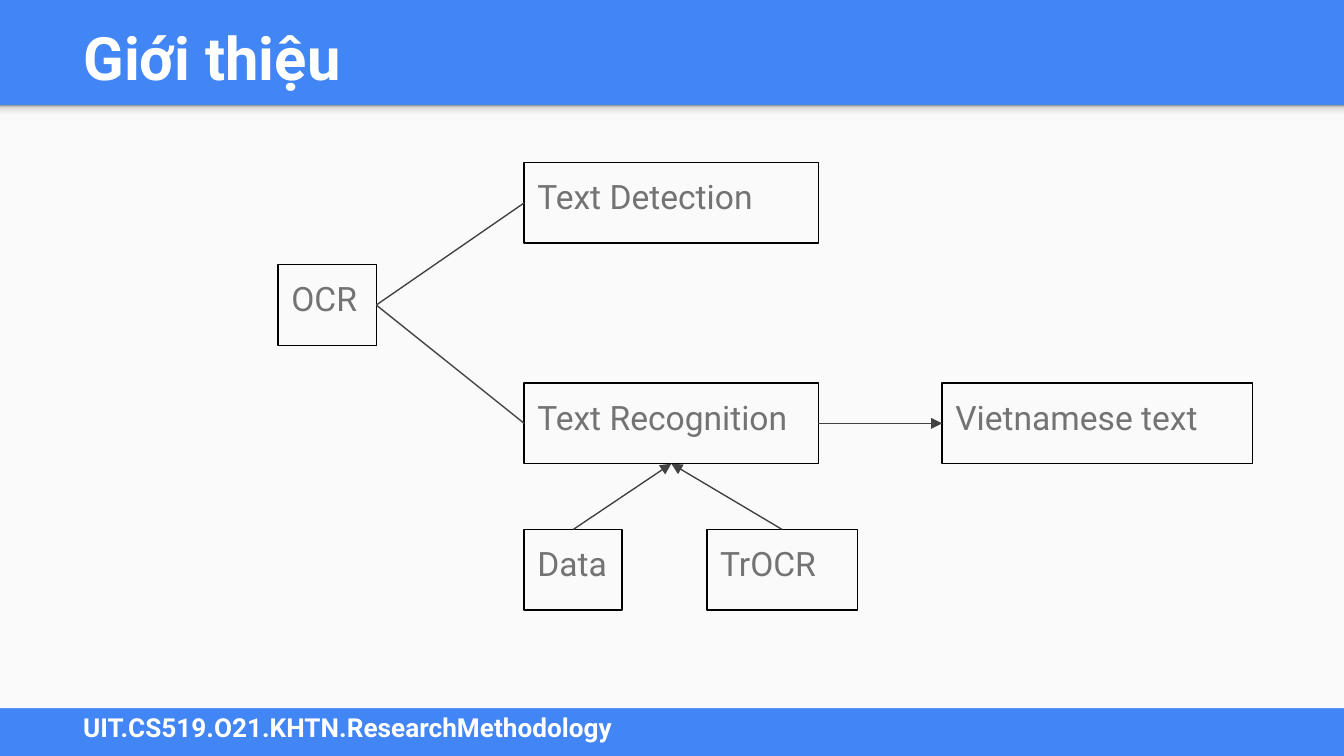
"""Build the introduction slide: a diagram of the OCR tasks between two blue bands."""
from pptx import Presentation
from pptx.dml.color import RGBColor
from pptx.enum.shapes import MSO_CONNECTOR, MSO_SHAPE
from pptx.enum.text import MSO_ANCHOR, MSO_AUTO_SIZE, PP_ALIGN
from pptx.oxml.ns import qn
from pptx.util import Inches, Pt
from lxml.etree import SubElement


def paint(fill, colour):
    fill.solid()
    fill.fore_color.rgb = RGBColor.from_string(colour)


def write(holder, text, size, colour, bold=False, anchor=MSO_ANCHOR.MIDDLE):
    frame = holder.text_frame
    frame.text = text
    margins = {f"margin_{side}": Inches(0.1) for side in ("left", "right", "top", "bottom")}
    frame_format = {"word_wrap": True, "auto_size": MSO_AUTO_SIZE.NONE,
                    "vertical_anchor": anchor, **margins}
    for attribute, value in frame_format.items():
        setattr(frame, attribute, value)
    paragraph = frame.paragraphs[0]
    paragraph.alignment = PP_ALIGN.LEFT
    font = paragraph.runs[0].font
    for attribute, value in {"name": "Roboto", "size": Pt(size), "bold": bold}.items():
        setattr(font, attribute, value)
    paint(font.fill, colour)


deck = Presentation()
deck.slide_width = Inches(10)
deck.slide_height = deck.slide_width * 9 // 16
slide = deck.slides.add_slide(deck.slide_layouts[5])
shapes = slide.shapes
paint(slide.background.fill, "4285F4")

panel = shapes.add_shape(MSO_SHAPE.RECTANGLE, 0, Inches(0.8), deck.slide_width, Inches(4.47))
paint(panel.fill, "FAFAFA")
header_shade = shapes.add_shape(MSO_SHAPE.RECTANGLE, 0, Inches(0.78), deck.slide_width, Inches(0.12))
header_shade.fill.gradient()
header_shade.fill.gradient_angle = 90
stops = header_shade._element.spPr.find(qn("a:gradFill")).find(qn("a:gsLst"))
for stop in list(stops):
    stops.remove(stop)
for percent, colour in ((0, "F9F9F9"), (36, "F9F9F9"), (80, "DEDEDE"), (100, "999999")):
    stop = SubElement(stops, qn("a:gs"), pos=str(percent * 1000))
    SubElement(stop, qn("a:srgbClr"), val=colour)
for band in (panel, header_shade):
    band.line.fill.background()
    band.shadow.inherit = False

heading = shapes.title
heading_place = {"left": 0.52, "top": 0.06, "width": 8.99, "height": 0.73}
for attribute, value in heading_place.items():
    setattr(heading, attribute, Inches(value))
write(heading, "Giới thiệu", 32, "FFFFFF", bold=True)
course = shapes.add_textbox(Inches(0.52), Inches(5.25), Inches(8.89), Inches(0.32))
write(course, "UIT.CS519.O21.KHTN.ResearchMethodology", 14, "FFFFFF", bold=True)

columns = (2.07, 3.9, 5.26, 7.01)
rows = (1.21, 1.97, 2.85, 3.94)
topics = {}
for topic, column, row, width in (
    ("OCR", 0, 1, 0.73),
    ("Text Detection", 1, 0, 2.19),
    ("Text Recognition", 1, 2, 2.19),
    ("Data", 1, 3, 0.73),
    ("TrOCR", 2, 3, 1.12),
    ("Vietnamese text", 3, 2, 2.31),
):
    box = shapes.add_shape(MSO_SHAPE.RECTANGLE, Inches(columns[column]), Inches(rows[row]),
                           Inches(width), Inches(0.6))
    box.shadow.inherit = False
    box.fill.background()
    paint(box.line.fill, "000000")
    box.line.width = Pt(0.75)
    write(box, topic, 18, "737373", anchor=MSO_ANCHOR.TOP)
    topics[topic] = box

top, left, bottom, right = range(4)
for source, exit_side, target, entry_side, arrow in (
    ("OCR", right, "Text Detection", left, False),
    ("OCR", right, "Text Recognition", left, False),
    ("Data", top, "Text Recognition", bottom, True),
    ("TrOCR", top, "Text Recognition", bottom, True),
    ("Text Recognition", right, "Vietnamese text", left, True),
):
    link = shapes.add_connector(MSO_CONNECTOR.STRAIGHT, 0, 0, 0, 0)
    link.begin_connect(topics[source], exit_side)
    link.end_connect(topics[target], entry_side)
    paint(link.line.fill, "424242")
    link.line.width = Pt(0.75)
    if arrow:
        SubElement(link.line._get_or_add_ln(), qn("a:tailEnd"), type="triangle")
    SubElement(link._element.spPr, qn("a:effectLst"))

deck.save("out.pptx")
